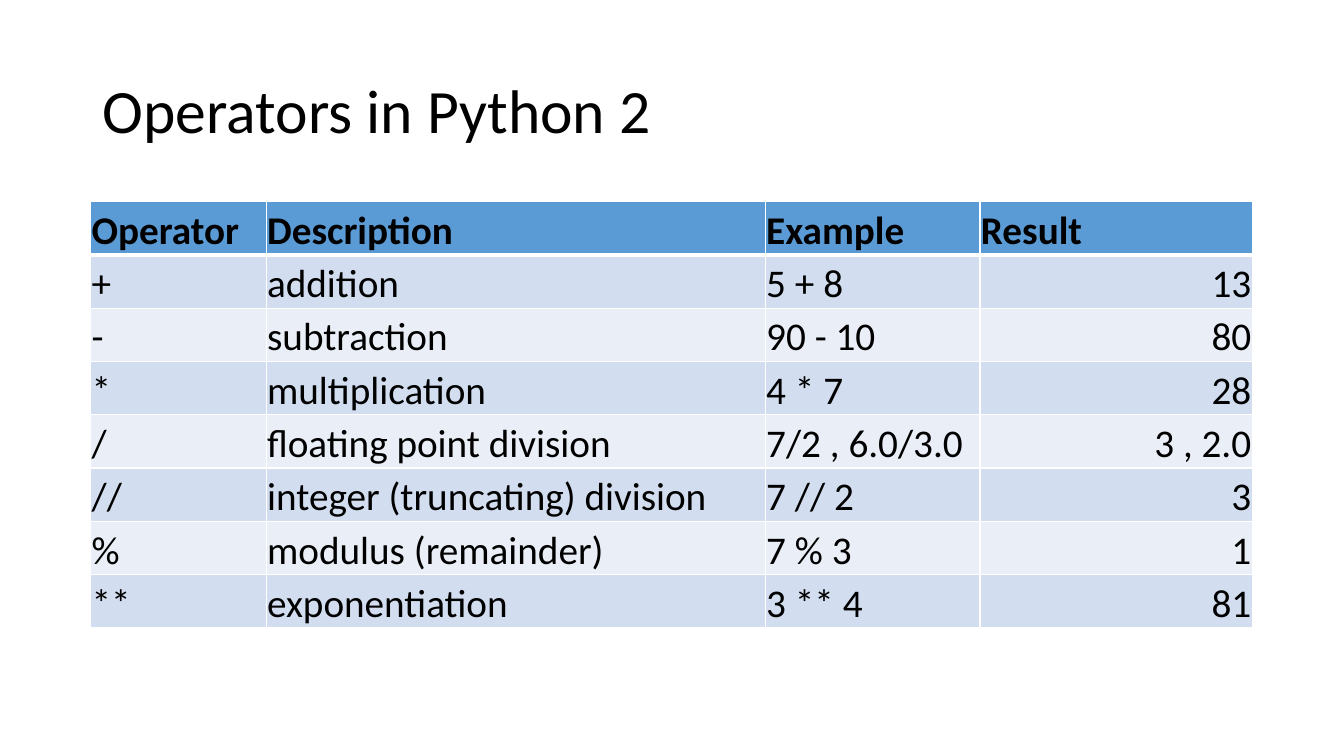
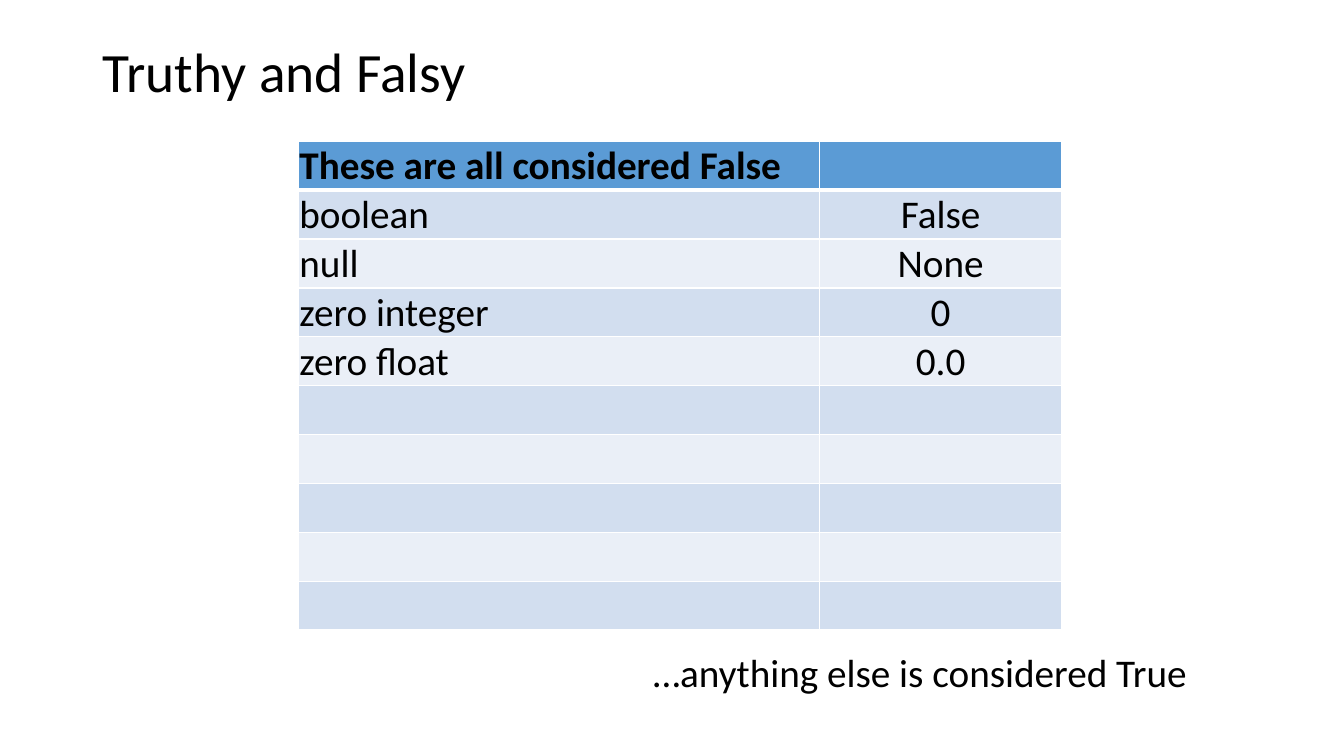
import pptx
import pptx.util
import pptx.dml.color
import pptx.enum.text
import pptx.oxml
import pptx.oxml.ns
from dataclasses import dataclass

Inches = pptx.util.Inches
Align = pptx.enum.text.PP_ALIGN
Anchor = pptx.enum.text.MSO_ANCHOR


@dataclass(frozen=True)
class Theme:
    font: str = "Calibri"
    ink: str = "000000"
    head: str = "5B9BD5"
    bands: tuple = ("D2DEEF", "EAEFF7")
    rule: str = "FFFFFF"
    thin: int = 1
    thick: int = 3
    body: int = 28


THEME = Theme()

# Content: box is left, top, width, height in inches
SLIDES = [
    {
        "title": "Operators in Python 2",
        "size": 44,
        "tall": 1.45,
        "spot": (0.9, 2),
        "high": 4.23,
        "cols": (1.74, 4.95, 2.13, 2.7),
        "last": Align.RIGHT,
        "rows": [
            ("Operator", "Description", "Example", "Result"),
            ("+", "addition", "5 + 8", "13"),
            ("-", "subtraction", "90 - 10", "80"),
            ("*", "multiplication", "4 * 7", "28"),
            ("/", "floating point division", "7/2 , 6.0/3.0", "3 , 2.0"),
            ("//", "integer (truncating) division", "7 // 2", "3"),
            ("%", "modulus (remainder)", "7 % 3", "1"),
            ("**", "exponentiation", "3 ** 4", "81"),
        ],
    },
    {
        "title": "Truthy and Falsy",
        "size": 39.6,
        "tall": 0.68,
        "spot": (2.96, 1.4),
        "high": 4.85,
        "cols": (5.17, 2.4),
        "last": Align.CENTER,
        "rows": [
            ("These are all considered False", ""),
            ("boolean", "False"),
            ("null", "None"),
            ("zero integer", "0"),
            ("zero float", "0.0"),
        ] + [("", "")] * 5,
        "note": ("…anything else is considered True", (6.38, 6.38, 5.55, 0.57)),
    },
]


def color(code):
    return pptx.dml.color.RGBColor.from_string(code)


def write(para, text, size, bold=False):
    run = para.add_run()
    run.text = text
    font = run.font
    font.name, font.size, font.bold = THEME.font, pptx.util.Pt(size), bold
    font.color.rgb = color(THEME.ink)


def border(cell, row):
    # The rule below the header is shared by the first two rows
    props = cell._tc.get_or_add_tcPr()
    thick = {0: "lnB", 1: "lnT"}.get(row)
    for spot, side in enumerate(("lnL", "lnR", "lnT", "lnB")):
        width = pptx.util.Pt(THEME.thick if side == thick else THEME.thin)
        line = pptx.oxml.parse_xml(
            f'<a:{side} {pptx.oxml.ns.nsdecls("a")} w="{width}"><a:solidFill>'
            f'<a:srgbClr val="{THEME.rule}"/></a:solidFill></a:{side}>')
        props.insert(spot, line)


def add_title(slide, item):
    title = slide.shapes.title
    title.left, title.top = Inches(0.92), Inches(0.4)
    title.width, title.height = Inches(11.5), Inches(item["tall"])
    title.text_frame.vertical_anchor = Anchor.MIDDLE
    para = title.text_frame.paragraphs[0]
    para.alignment, para.line_spacing = Align.LEFT, 0.9
    write(para, item["title"], item["size"])


def add_grid(slide, item):
    rows, cols = item["rows"], item["cols"]
    box = (*item["spot"], sum(cols), item["high"])
    table = slide.shapes.add_table(
        len(rows), len(cols), *map(Inches, box)).table
    table.first_row = table.horz_banding = False
    for col, width in zip(table.columns, cols):
        col.width = Inches(width)
    for r, texts in enumerate(rows):
        table.rows[r].height = Inches(item["high"] / len(rows))
        fill = THEME.bands[(r - 1) % 2] if r else THEME.head
        for c, text in enumerate(texts):
            cell = table.cell(r, c)
            cell.fill.solid()
            cell.fill.fore_color.rgb = color(fill)
            border(cell, r)
            cell.margin_left = cell.margin_right = Inches(0.01)
            cell.margin_top, cell.margin_bottom = Inches(0.01), 0
            cell.vertical_anchor = Anchor.BOTTOM
            if text:
                para = cell.text_frame.paragraphs[0]
                end = r and c == len(cols) - 1
                para.alignment = item["last"] if end else Align.LEFT
                write(para, text, THEME.body, bold=r == 0)


def add_note(slide, text, box):
    frame = slide.shapes.add_textbox(*map(Inches, box)).text_frame
    frame.word_wrap = False
    frame.auto_size = pptx.enum.text.MSO_AUTO_SIZE.SHAPE_TO_FIT_TEXT
    write(frame.paragraphs[0], text, THEME.body)


def main():
    deck = pptx.Presentation()
    deck.slide_width, deck.slide_height = Inches(13.33), Inches(7.5)
    for item in SLIDES:
        slide = deck.slides.add_slide(deck.slide_layouts[5])
        add_title(slide, item)
        add_grid(slide, item)
        if "note" in item:
            add_note(slide, *item["note"])
    deck.save("out.pptx")


if __name__ == "__main__":
    main()
